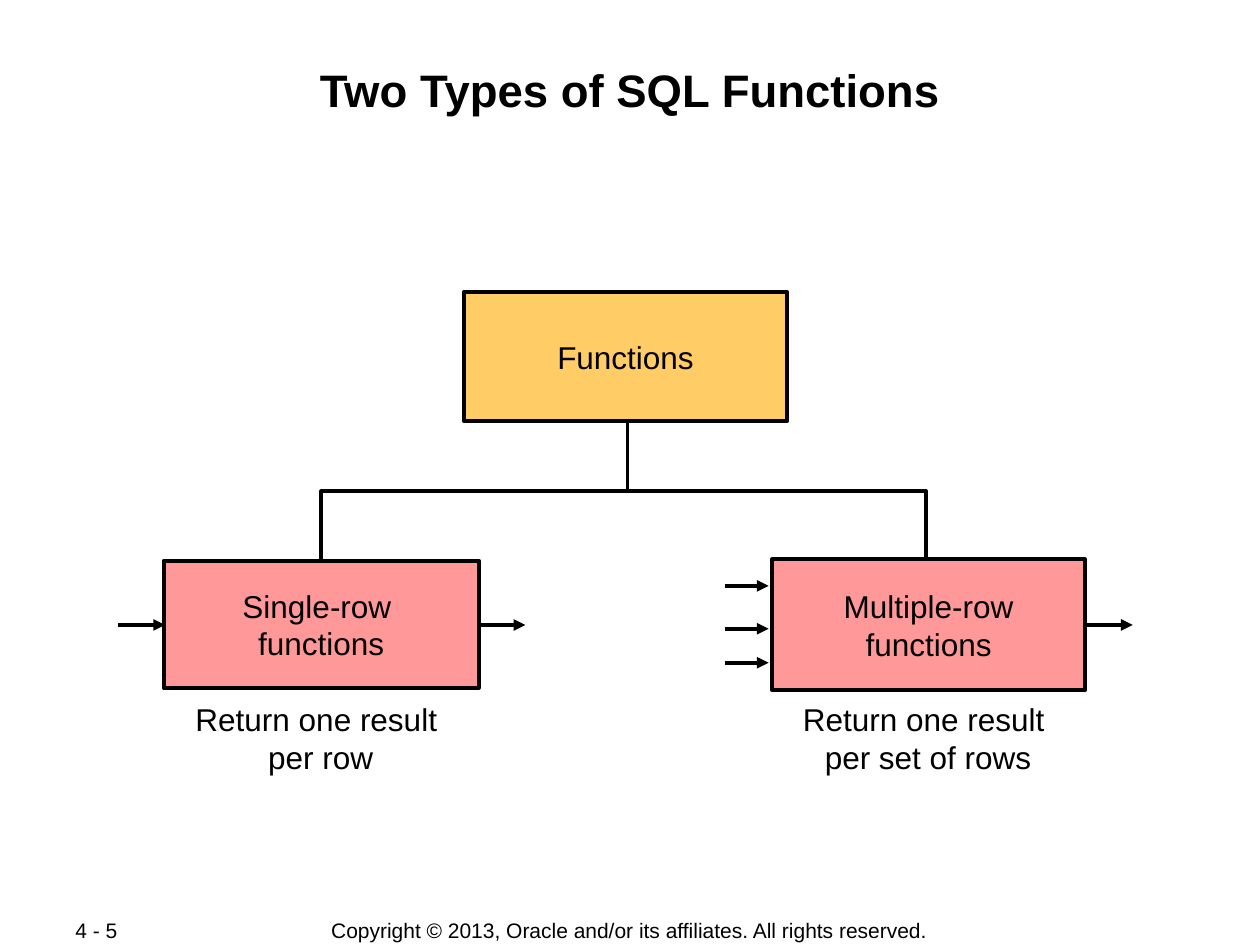
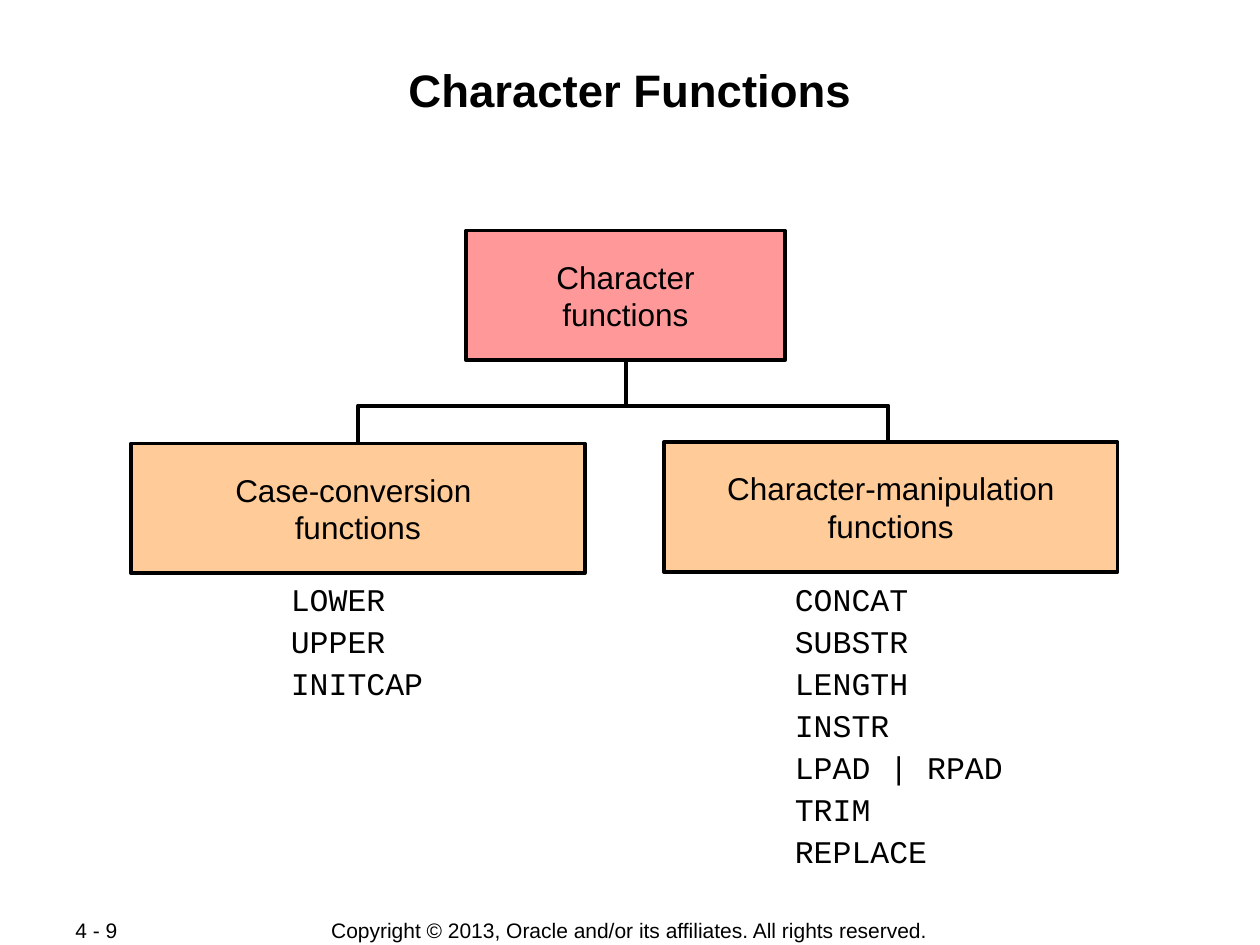
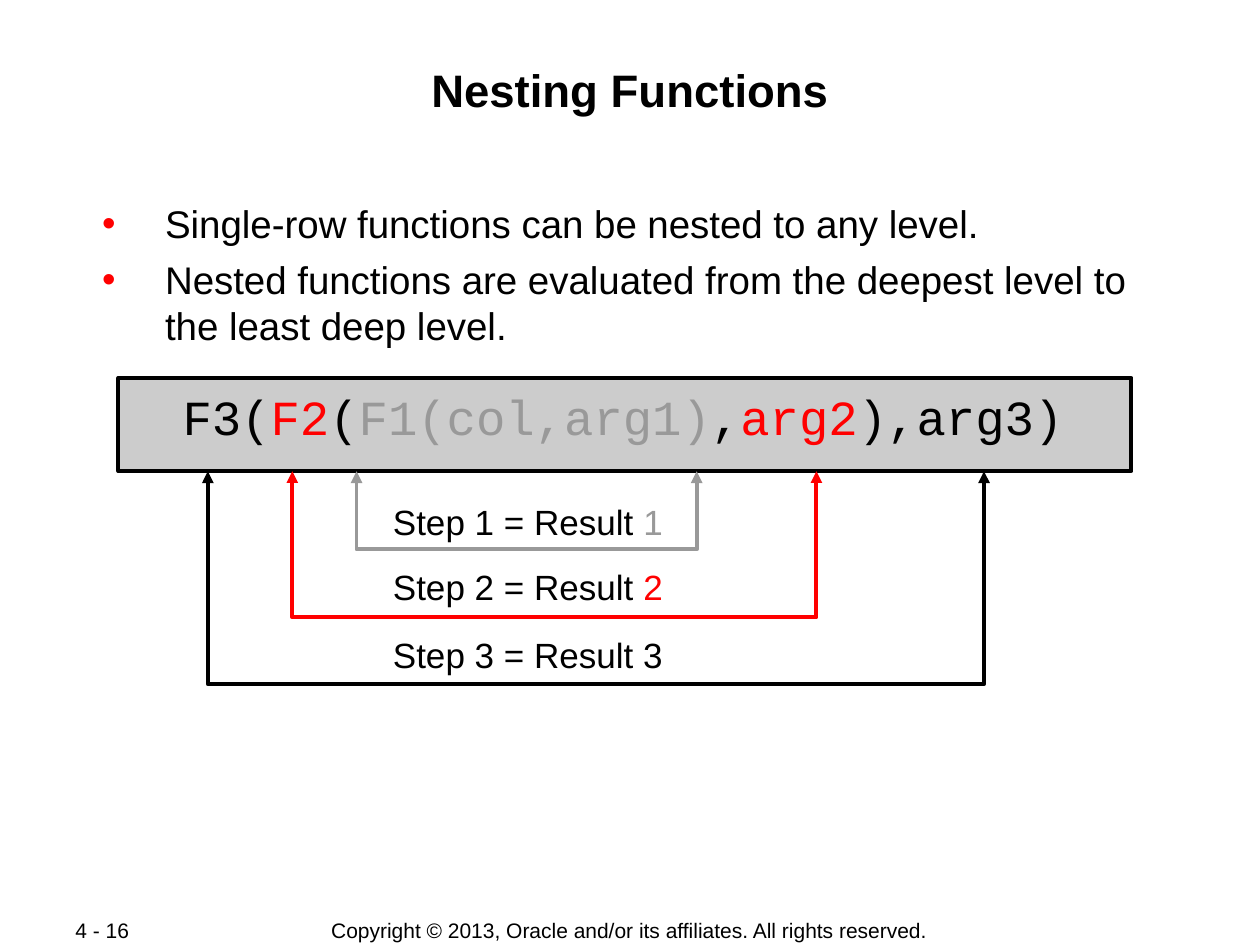
from dataclasses import dataclass

from lxml.etree import SubElement
from pptx import Presentation
from pptx.dml.color import RGBColor
from pptx.enum.shapes import MSO_CONNECTOR, MSO_SHAPE
from pptx.enum.text import MSO_ANCHOR as Anchor, MSO_AUTO_SIZE as AutoSize, PP_ALIGN as Align
from pptx.oxml.ns import qn
from pptx.util import Inches, Pt

COLORS = {
    "black": "000000", "white": "FFFFFF", "red": "FF0000", "gray": "999999",
    "silver": "CCCCCC", "pink": "FF9999", "gold": "FFCC66", "peach": "FFCC99",
}
SANS = "Arial"
MONO = "Courier New"
STROKE = Pt(2.25)
COPYRIGHT = "Copyright © 2013, Oracle and/or its affiliates. All rights reserved."
TITLE_ONLY, TITLE_AND_BODY = 5, 1


@dataclass(frozen=True)
class Area:
    left: float
    top: float
    width: float
    height: float

    def inches(self) -> tuple:
        return tuple(map(Inches, (self.left, self.top, self.width, self.height)))


@dataclass(frozen=True)
class Span:
    text: str
    color: str = "black"


@dataclass(frozen=True)
class Node:
    area: Area
    text: str
    fill: str


@dataclass(frozen=True)
class Tree:
    root: Node
    left: Node
    right: Node
    stem_x: float
    bar_y: float
    branch_xs: tuple[float, float]


@dataclass(frozen=True)
class Step:
    number: int
    color: str
    left: float
    right: float
    bottom: float
    label_top: float


TITLE_AREA = Area(0.67, 0.48, 8.66, 0.96)
COPYRIGHT_AREA = Area(2.75, 7.28, 4.49, 0.21)
NUMBER_AREA = Area(0.5, 7.28, 1.06, 0.2)
BODY_AREA = Area(0.67, 1.58, 8.66, 1.2)
CODE_AREA = Area(0.94, 3, 8.04, 0.74)
CODE_BOTTOM = CODE_AREA.top + CODE_AREA.height

FUNCTION_TREE = Tree(
    Node(Area(3.68, 2.32, 2.57, 1.02), "Functions", "gold"),
    Node(Area(1.3, 4.45, 2.5, 1.01), "Single-row \nfunctions", "pink"),
    Node(Area(6.13, 4.44, 2.48, 1.04), "Multiple-row\nfunctions", "pink"),
    4.98, 3.9, (2.55, 7.35),
)
CHARACTER_TREE = Tree(
    Node(Area(3.7, 1.83, 2.53, 1.03), "Character\nfunctions", "pink"),
    Node(Area(1.04, 3.52, 3.6, 1.03), "Case-conversion \nfunctions", "peach"),
    Node(Area(5.27, 3.51, 3.6, 1.03), "Character-manipulation\nfunctions", "peach"),
    4.97, 3.22, (2.84, 7.05),
)
ROW_ARROWS = [
    (0.94, 1.31, 4.96), (3.82, 4.17, 4.96), (8.62, 8.99, 4.96),
    (5.75, 6.1, 4.65), (5.75, 6.1, 4.99), (5.75, 6.1, 5.26),
]
CAPTIONS = [
    (Area(0.85, 5.59, 3.39, 0.53), "Return one result \nper row"),
    (Area(5.44, 5.59, 3.85, 0.53), "Return one result \nper set of rows"),
]
FUNCTION_LISTS = [
    (Area(2.21, 4.59, 1.25, 1.04), "LOWER\nUPPER\nINITCAP"),
    (Area(6.21, 4.59, 1.88, 2.37),
     "CONCAT\nSUBSTR\nLENGTH\nINSTR\nLPAD | RPAD\nTRIM\nREPLACE"),
]
NESTED_CALL = [
    Span("F3("), Span("F2", "red"), Span("("), Span("F1(col,arg1)", "gray"),
    Span(","), Span("arg2", "red"), Span("),arg3)"),
]
STEPS = [
    Step(3, "black", 1.65, 7.81, 5.43, 4.98),
    Step(2, "red", 2.32, 6.48, 4.9, 4.44),
    Step(1, "gray", 2.83, 5.53, 4.36, 3.92),
]
NESTING_RULES = (
    "Single-row functions can be nested to any level.\n"
    "Nested functions are evaluated from the deepest level to the least deep level."
)


def rgb(name: str) -> RGBColor:
    return RGBColor.from_string(COLORS[name])


def lines_of(text: str) -> list[list[Span]]:
    return [[Span(line)] for line in text.split("\n")]


def add_bullet(para) -> None:
    properties = para._p.get_or_add_pPr()
    properties.set("marL", str(Inches(0.63)))
    properties.set("indent", str(Inches(-0.5)))
    tint = SubElement(properties, qn("a:buClr"))
    SubElement(tint, qn("a:srgbClr")).set("val", COLORS["red"])
    SubElement(properties, qn("a:buChar")).set("char", "•")


def write(shape, lines: list[list[Span]], *, size: float = 18, font: str = SANS,
          bold: bool = False, align=Align.LEFT, anchor=Anchor.TOP, wrap: bool = False,
          grow: bool = False, inset: tuple = (0.1, 0.05), gap: float = 0,
          spacing=None, bullets: bool = False) -> None:
    frame = shape.text_frame
    frame.word_wrap = wrap
    frame.auto_size = AutoSize.SHAPE_TO_FIT_TEXT if grow else AutoSize.NONE
    frame.vertical_anchor = anchor
    frame.margin_left = frame.margin_right = Inches(inset[0])
    frame.margin_top = frame.margin_bottom = Inches(inset[1])
    for index, spans in enumerate(lines):
        para = frame.add_paragraph() if index else frame.paragraphs[0]
        if bullets:
            add_bullet(para)
        para.alignment = align
        para.space_before = Pt(gap if index else 0)
        if spacing is not None:
            para.line_spacing = spacing
        for span in spans:
            run = para.add_run()
            run.text = span.text
            run.font.name = font
            run.font.size = Pt(size)
            run.font.bold = bold
            run.font.color.rgb = rgb(span.color)


def place(shape, area: Area) -> None:
    shape.left, shape.top, shape.width, shape.height = area.inches()


def add_text(page, area: Area, lines: list[list[Span]], **style) -> None:
    write(page.shapes.add_textbox(*area.inches()), lines, **style)


def add_rectangle(page, area: Area, fill: str):
    box = page.shapes.add_shape(MSO_SHAPE.RECTANGLE, *area.inches())
    box.shadow.inherit = False
    box.fill.solid()
    box.fill.fore_color.rgb = rgb(fill)
    stroke(box, "black")
    return box


def stroke(shape, color: str, *ends: str) -> None:
    shape.line.width = STROKE
    shape.line.color.rgb = rgb(color)
    for end in ends:
        SubElement(shape.line._get_or_add_ln(), qn(f"a:{end}")).set("type", "triangle")


def add_line(page, start: tuple, stop: tuple, *ends: str) -> None:
    line = page.shapes.add_connector(MSO_CONNECTOR.STRAIGHT, *map(Inches, start + stop))
    stroke(line, "black", *ends)
    SubElement(line._element.spPr, qn("a:effectLst"))


def add_outline(page, points: list[tuple], color: str, *ends: str) -> None:
    first, *rest = [(Inches(x), Inches(y)) for x, y in points]
    builder = page.shapes.build_freeform(*first)
    builder.add_line_segments(rest, close=False)
    outline = builder.convert_to_shape()
    outline.shadow.inherit = False
    outline.fill.background()
    stroke(outline, color, *ends)


def add_tree(page, tree: Tree) -> None:
    root_bottom = tree.root.area.top + tree.root.area.height
    left_x, right_x = tree.branch_xs
    add_line(page, (tree.stem_x, tree.bar_y), (tree.stem_x, root_bottom))
    add_outline(page, [
        (left_x, tree.left.area.top), (left_x, tree.bar_y),
        (right_x, tree.bar_y), (right_x, tree.right.area.top),
    ], "black")
    for node in (tree.root, tree.left, tree.right):
        box = add_rectangle(page, node.area, node.fill)
        write(box, lines_of(node.text), align=Align.CENTER, anchor=Anchor.MIDDLE)


def add_page(deck, layout: int, title: str, number: int):
    page = deck.slides.add_slide(deck.slide_layouts[layout])
    page.background.fill.solid()
    page.background.fill.fore_color.rgb = rgb("white")
    place(page.shapes.title, TITLE_AREA)
    write(page.shapes.title, lines_of(title), size=26, bold=True, align=Align.CENTER,
          wrap=True, inset=(0.01, 0.01))
    add_text(page, COPYRIGHT_AREA, lines_of(COPYRIGHT), size=12,
             align=Align.CENTER, anchor=Anchor.MIDDLE)
    add_text(page, NUMBER_AREA, lines_of(f"4 - {number}"), size=12,
             align=Align.JUSTIFY, anchor=Anchor.MIDDLE)
    return page


def build_function_types(deck) -> None:
    page = add_page(deck, TITLE_ONLY, "Two Types of SQL Functions", 5)
    add_tree(page, FUNCTION_TREE)
    for start, stop, y in ROW_ARROWS:
        add_line(page, (start, y), (stop, y), "tailEnd")
    for area, text in CAPTIONS:
        add_text(page, area, lines_of(text), align=Align.CENTER, anchor=Anchor.MIDDLE)


def build_character_functions(deck) -> None:
    page = add_page(deck, TITLE_ONLY, "Character Functions", 9)
    add_tree(page, CHARACTER_TREE)
    for area, text in FUNCTION_LISTS:
        add_text(page, area, lines_of(text), font=MONO, grow=True, gap=4.5, spacing=0.9)


def build_nesting(deck) -> None:
    page = add_page(deck, TITLE_AND_BODY, "Nesting Functions", 16)
    body = page.placeholders[1]
    place(body, BODY_AREA)
    write(body, lines_of(NESTING_RULES), size=22, wrap=True, grow=True,
          inset=(0.01, 0.01), gap=5.5, bullets=True)
    add_rectangle(page, CODE_AREA, "silver")
    add_text(page, Area(1.35, 3.18, 7.19, 0.41), [NESTED_CALL], size=28, font=MONO,
             grow=True, spacing=Pt(22))
    for step in STEPS:
        add_outline(page, [
            (step.left, CODE_BOTTOM), (step.left, step.bottom),
            (step.right, step.bottom), (step.right, CODE_BOTTOM),
        ], step.color, "headEnd", "tailEnd")
        label = [Span(f"Step {step.number} = Result "), Span(str(step.number), step.color)]
        add_text(page, Area(3.02, step.label_top, 2.35, 0.43), [label], size=20, grow=True)


def main() -> None:
    deck = Presentation()
    deck.slide_width = Inches(10)
    deck.slide_height = Inches(7.5)
    build_function_types(deck)
    build_character_functions(deck)
    build_nesting(deck)
    deck.save("out.pptx")


if __name__ == "__main__":
    main()
